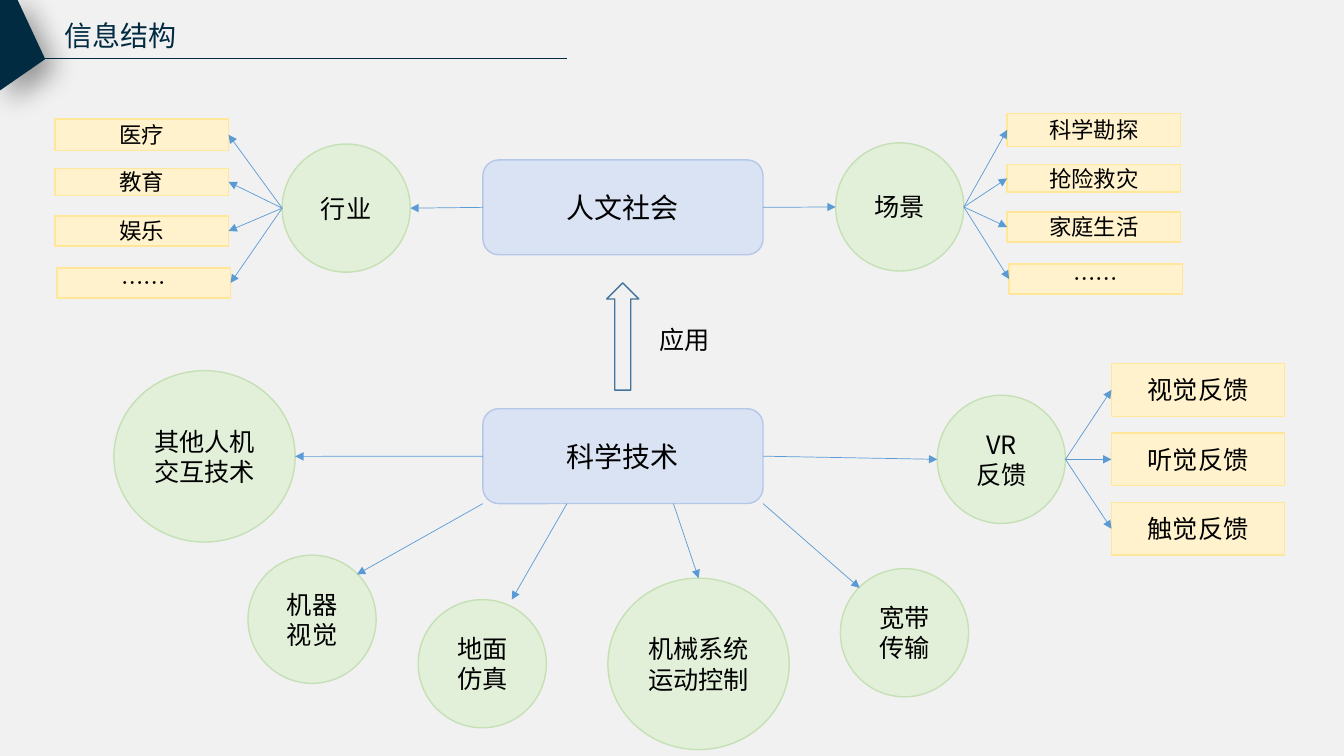
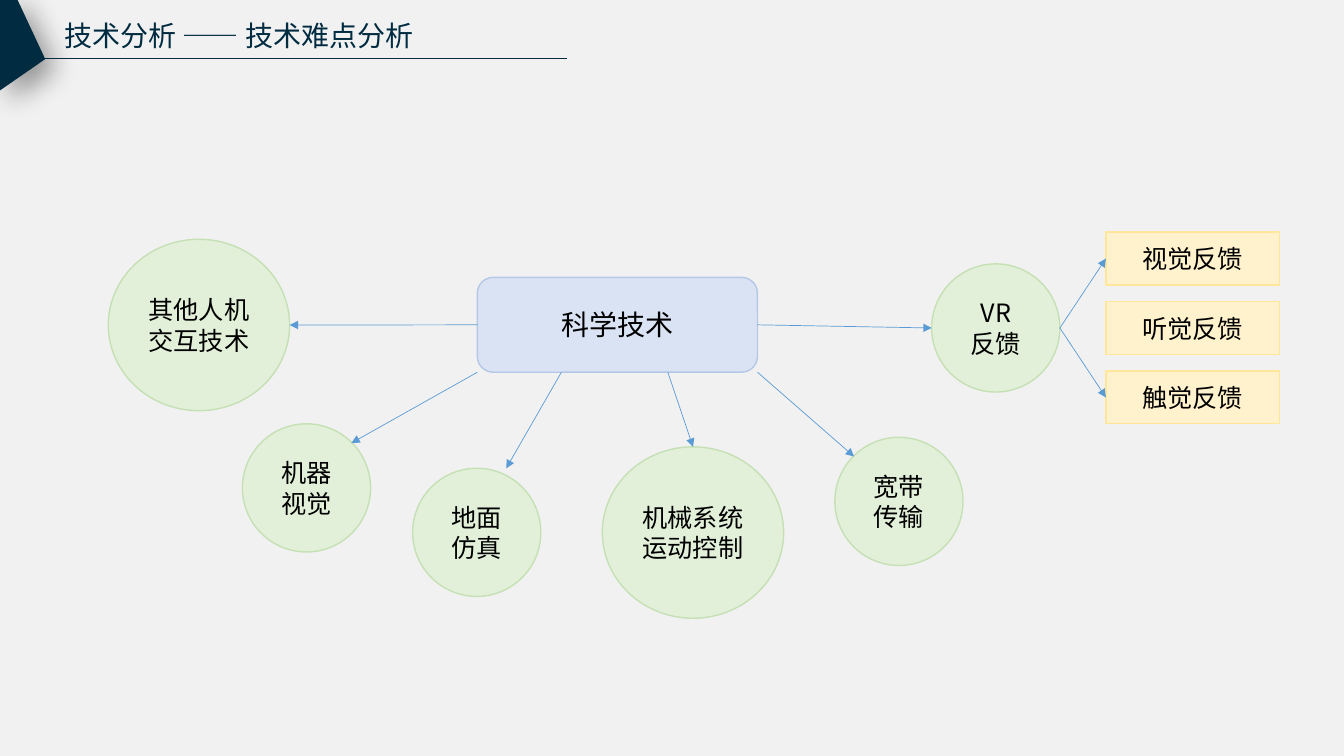
from dataclasses import dataclass
from lxml.etree import SubElement
from pptx import Presentation
from pptx.dml.color import RGBColor
from pptx.enum.shapes import MSO_CONNECTOR as LineKind, MSO_SHAPE as Preset
from pptx.enum.text import MSO_ANCHOR as Anchor, MSO_AUTO_SIZE as AutoSize, PP_ALIGN as Align
from pptx.oxml import parse_xml
from pptx.oxml.ns import nsdecls, qn
from pptx.util import Cm, Pt


@dataclass(frozen=True)
class Theme:
    font: str = "Noto Sans CJK SC"
    paper: str = "F1F1F1"
    navy: str = "002B41"
    ink: str = "000000"
    arrow: str = "5B9BD5"
    block_arrow: str = "43739E"
    core: tuple = ("DAE3F3", "B4C7E7")
    branch: tuple = ("E2F0D9", "C5E0B4")
    leaf: tuple = ("FFF2CC", "FFE699")
    large: int = 20
    body: int = 18
    small: int = 16
    outline: float = 1
    thin: float = 0.5
    rule: float = 0.63


LEFT, RIGHT, TOP = (0, 0.5), (1, 0.5), (0.5, 0)
NEAR, FAR = 0.15, 0.85
CIRCLE = (3.23, 3.23)
OVAL = (4.57, 4.32)
LEAF_WIDTH = 4.37


class Deck:
    def __init__(self, theme):
        self.theme = theme
        self.prs = Presentation()
        self.prs.slide_width, self.prs.slide_height = Cm(33.87), Cm(19.05)
        self.paint(self.prs.slide_master.background, theme.paper)
        self.slide = None

    def paint(self, target, color):
        target.fill.solid()
        target.fill.fore_color.rgb = RGBColor.from_string(color)

    def stroke(self, target, color, width):
        target.line.color.rgb = RGBColor.from_string(color)
        target.line.width = Pt(width)

    def set_text(self, frame, text, size, color, align):
        frame.text = text
        for paragraph in frame.paragraphs:
            paragraph.alignment = align
            for run in paragraph.runs:
                run.font.size = Pt(size)
                run.font.name = self.theme.font
                run.font.color.rgb = RGBColor.from_string(color)
                SubElement(run.font._element, qn("a:ea"), typeface=self.theme.font)

    def start_slide(self, title):
        self.slide = self.prs.slides.add_slide(self.prs.slide_layouts[5])
        heading = self.slide.shapes.title
        heading.left, heading.top = Cm(1.37), Cm(0.33)
        heading.width, heading.height = Cm(12), Cm(1.12)
        frame = heading.text_frame
        frame.auto_size = AutoSize.NONE
        frame.vertical_anchor = Anchor.TOP
        self.set_text(frame, title, self.theme.large, self.theme.navy, Align.LEFT)
        self.badge()
        self.line((Cm(0.56), Cm(1.48)), (Cm(14.3), Cm(1.48)), self.theme.navy, self.theme.rule)

    def badge(self):
        corners = [(Cm(x), Cm(y)) for x, y in ((0.43, -0.03), (0, -0.03), (0, 2.28), (1.14, 1.49))]
        builder = self.slide.shapes.build_freeform(*corners[0])
        builder.add_line_segments(corners[1:], close=True)
        corner = builder.convert_to_shape()
        self.paint(corner, self.theme.navy)
        corner.line.fill.background()
        corner._element.spPr.append(parse_xml(
            f'<a:effectLst {nsdecls("a")}><a:outerShdw blurRad="{Pt(20)}" dist="{Pt(10)}" '
            f'dir="2700000" algn="tl" rotWithShape="0"><a:srgbClr val="{self.theme.ink}">'
            '<a:alpha val="40000"/></a:srgbClr></a:outerShdw></a:effectLst>'))

    def node(self, preset, spot, size, text, colors, points):
        shape = self.slide.shapes.add_shape(preset, *map(Cm, spot + size))
        shape.shadow.inherit = False
        self.paint(shape, colors[0])
        self.stroke(shape, colors[1], self.theme.outline)
        shape.text_frame.vertical_anchor = Anchor.MIDDLE
        self.set_text(shape.text_frame, text, points, self.theme.ink, Align.CENTER)
        return shape

    def core(self, x, y, text):
        return self.node(Preset.ROUNDED_RECTANGLE, (x, y), (7.06, 2.39), text,
                         self.theme.core, self.theme.large)

    def branch(self, x, y, text, size=CIRCLE):
        return self.node(Preset.OVAL, (x, y), size, text, self.theme.branch, self.theme.body)

    def leaf(self, x, y, height, text, points):
        return self.node(Preset.RECTANGLE, (x, y), (LEAF_WIDTH, height), text,
                         self.theme.leaf, points)

    def line(self, start, end, color, width):
        line = self.slide.shapes.add_connector(LineKind.STRAIGHT, *start, *end)
        self.stroke(line, color, width)
        SubElement(line._element.spPr, qn("a:effectLst"))
        return line

    def arrow(self, source, exit_at, target, entry_at):
        start, end = (
            (int(shape.left + shape.width * fx), int(shape.top + shape.height * fy))
            for shape, (fx, fy) in ((source, exit_at), (target, entry_at)))
        line = self.line(start, end, self.theme.arrow, self.theme.thin)
        SubElement(line.line._get_or_add_ln(), qn("a:tailEnd"), type="triangle")

    def block_arrow(self, x, y, width, height):
        shape = self.slide.shapes.add_shape(Preset.UP_ARROW, *map(Cm, (x, y, width, height)))
        shape.shadow.inherit = False
        shape.fill.background()
        self.stroke(shape, self.theme.block_arrow, self.theme.outline)

    def label(self, x, y, width, height, text):
        box = self.slide.shapes.add_textbox(*map(Cm, (x, y, width, height)))
        box.text_frame.word_wrap = True
        self.set_text(box.text_frame, text, self.theme.body, self.theme.ink, Align.LEFT)


def technology_map(deck, dx=0, dy=0, linked=("视觉反馈", "触觉反馈")):
    technology = deck.core(12.17 + dx, 10.3 + dy, "科学技术")
    branches = (
        ("其他人机交互技术", 2.87, 9.34, OVAL, LEFT, RIGHT),
        ("机器视觉", 6.25, 13.99, CIRCLE, (0, 1), (FAR, NEAR)),
        ("地面仿真", 10.54, 15.11, CIRCLE, (0.3, 1), (0.73, 0)),
        ("机械系统\n运动控制", 15.32, 14.57, OVAL, (0.68, 1), TOP),
        ("宽带传输", 21.18, 14.33, CIRCLE, (1, 1), (NEAR, NEAR)),
        ("VR\n反馈", 23.62, 9.96, CIRCLE, RIGHT, LEFT),
    )
    for text, x, y, size, exit_at, entry_at in branches:
        branch = deck.branch(x + dx, y + dy, text, size)
        deck.arrow(technology, exit_at, branch, entry_at)
    feedback = branch
    for row, sense in enumerate(("视觉反馈", "听觉反馈", "触觉反馈")):
        leaf = deck.leaf(28.01 + dx, 9.16 + 1.75 * row + dy, 1.33, sense, deck.theme.body)
        if sense in linked:
            deck.arrow(feedback, RIGHT, leaf, LEFT)


def society_map(deck):
    society = deck.core(12.17, 4.03, "人文社会")
    groups = (
        ("行业", 7.11, 3.63, LEFT, RIGHT, 1.39,
         (("医疗", 3, 0.79), ("教育", 4.24, 0.69), ("娱乐", 5.44, 0.76), ("……", 6.75, 0.76))),
        ("场景", 21.06, 3.6, RIGHT, LEFT, 25.38,
         (("科学勘探", 2.86, 0.83), ("抢险救灾", 4.15, 0.69),
          ("家庭生活", 5.34, 0.76), ("……", 6.65, 0.76))),
    )
    for name, x, y, outward, inward, leaf_x, leaves in groups:
        group = deck.branch(x, y, name)
        deck.arrow(society, outward, group, inward)
        for text, top, height in leaves:
            indent = 0.05 if text == "……" else 0
            leaf = deck.leaf(leaf_x + indent, top, height, text, deck.theme.small)
            deck.arrow(group, outward, leaf, inward)


def main():
    deck = Deck(Theme())
    deck.start_slide("信息结构")
    technology_map(deck, linked=("视觉反馈", "听觉反馈", "触觉反馈"))
    society_map(deck)
    deck.block_arrow(15.29, 7.13, 0.81, 2.7)
    deck.label(16.36, 8.05, 1.96, 1.03, "应用")
    deck.start_slide("技术分析 —— 技术难点分析")
    technology_map(deck, dx=-0.14, dy=-3.31)
    deck.prs.save("out.pptx")


if __name__ == "__main__":
    main()
